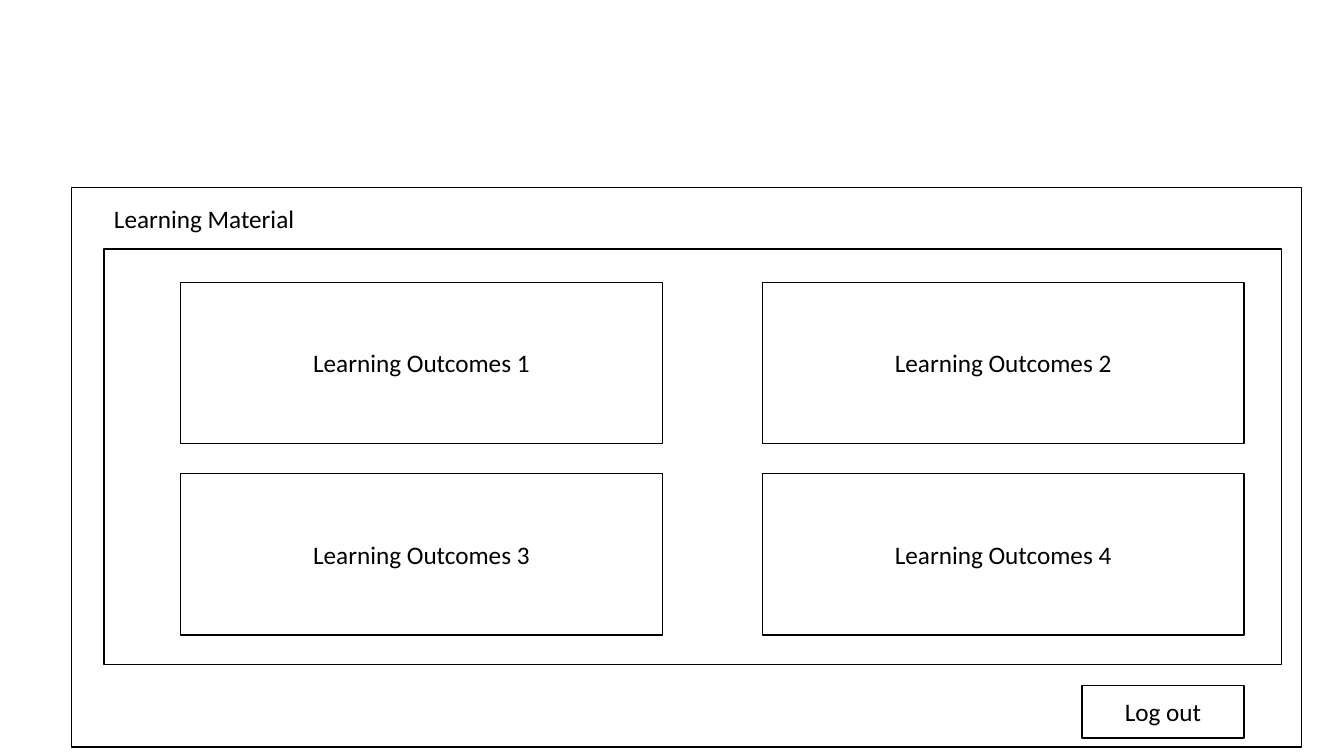
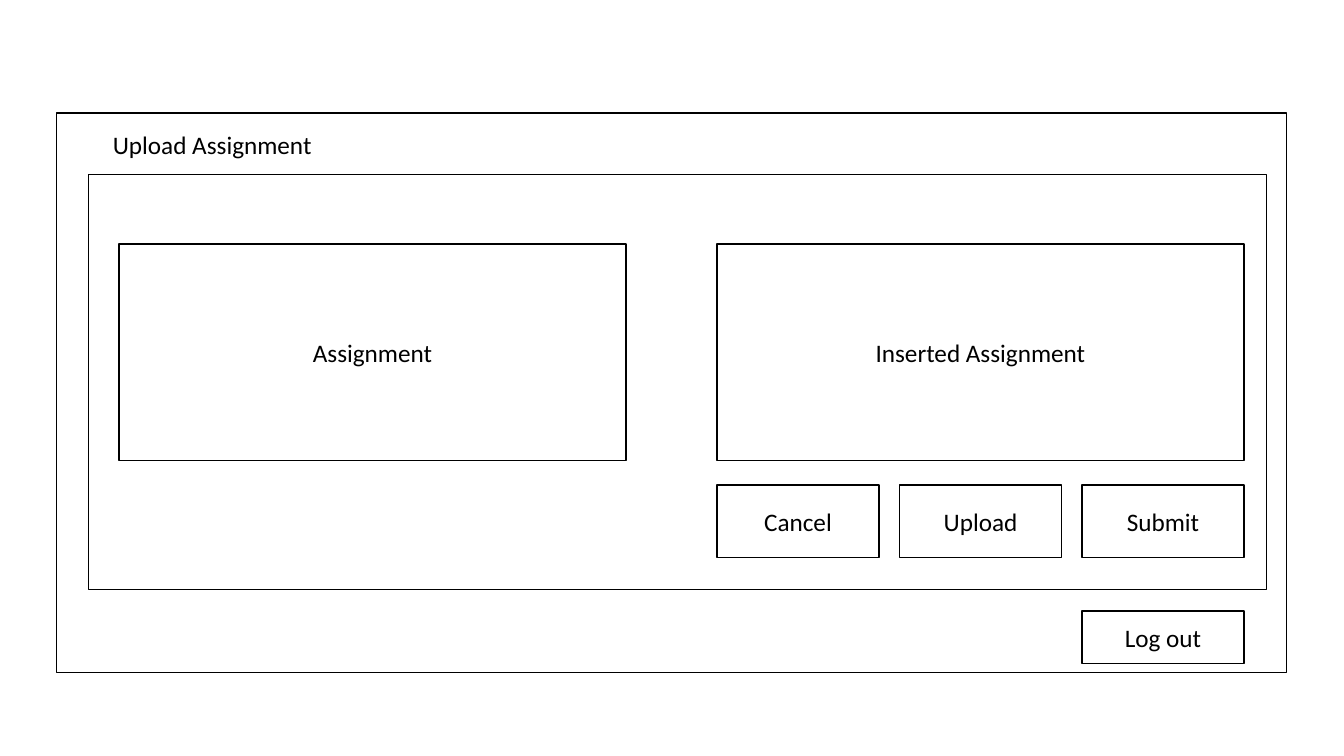
import pptx
import pptx.util
import pptx.dml.color
import pptx.enum.shapes
import pptx.enum.text

Inches = pptx.util.Inches
Pt = pptx.util.Pt

INK = "000000"
FONT = "Calibri"
BUTTON_W = 1.61
BUTTON_X = 10.73


def set_text(sp, text):
    tf = sp.text_frame
    tf.word_wrap = True
    tf.auto_size = pptx.enum.text.MSO_AUTO_SIZE.NONE
    tf.vertical_anchor = pptx.enum.text.MSO_ANCHOR.MIDDLE
    p = tf.paragraphs[0]
    p.alignment = pptx.enum.text.PP_ALIGN.CENTER
    r = p.add_run()
    r.text = text
    r.font.name = FONT
    r.font.size = Pt(18)
    r.font.color.rgb = pptx.dml.color.RGBColor.from_string(INK)


def add_box(s, x, y, w, h, text=None):
    sp = s.shapes.add_shape(pptx.enum.shapes.MSO_SHAPE.RECTANGLE,
                            Inches(x), Inches(y), Inches(w), Inches(h))
    sp.shadow.inherit = False
    sp.fill.background()
    sp.line.color.rgb = pptx.dml.color.RGBColor.from_string(INK)
    sp.line.width = Pt(1)
    if text:
        set_text(sp, text)


prs = pptx.Presentation()
prs.slide_width = Inches(13.33)
prs.slide_height = Inches(7.5)

# Shared screen: title, outer frame, inner panel, log out button
screens = [
    ("Learning Material", 0.71, 1.86, 0.71, 1.86),
    ("Upload Assignment", 0.56, 1.12, 0.79, 1.13),
]
slides = []
for title, x, y, title_x, title_y in screens:
    s = prs.slides.add_slide(prs.slide_layouts[5])
    sp = s.shapes.title
    sp.left, sp.top = Inches(title_x), Inches(title_y)
    sp.width, sp.height = Inches(2.63), Inches(0.61)
    set_text(sp, title)
    add_box(s, x, y, 12.2, 5.55)
    add_box(s, x + 0.32, y + 0.61, 11.68, 4.12)
    add_box(s, BUTTON_X, y + 4.94, BUTTON_W, 0.52, "Log out")
    slides.append(s)
material, upload = slides

# Learning Material: two by two grid of outcomes
for i in range(4):
    row, col = divmod(i, 2)
    add_box(material, 1.79 + 5.77 * col, 2.8 + 1.9 * row, 4.78, 1.6,
            f"Learning Outcomes {i + 1}")

# Upload Assignment: two panels and a row of buttons
add_box(upload, 1.18, 2.42, 5.03, 2.15, "Assignment")
add_box(upload, 7.11, 2.42, 5.23, 2.15, "Inserted Assignment")
for i, label in enumerate(["Cancel", "Upload", "Submit"]):
    add_box(upload, 7.11 + 1.81 * i, 4.81, BUTTON_W, 0.72, label)

prs.save("out.pptx")
